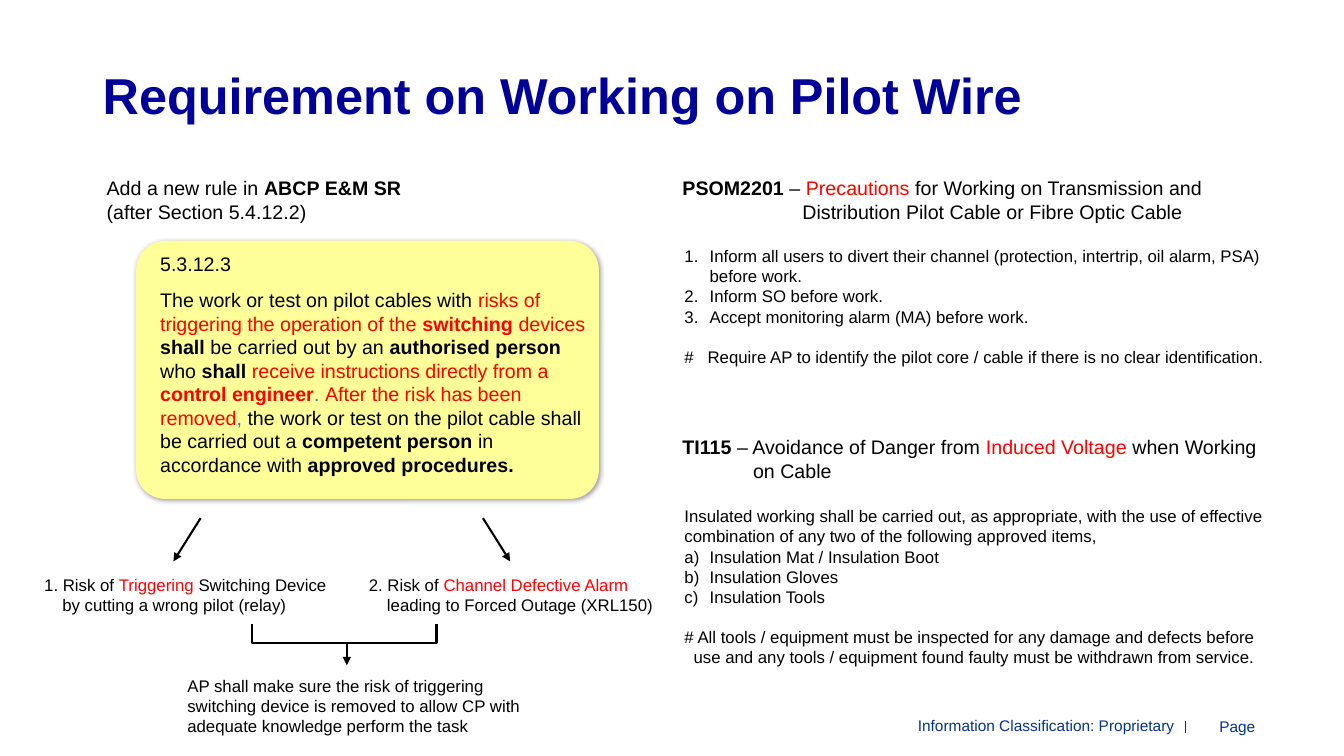
import pptx
import pptx.util
import pptx.dml.color
import pptx.enum.shapes
import pptx.enum.text
import pptx.oxml
from pptx.oxml.ns import qn
from pptx.util import Inches, Pt

NAVY, FOOTER_BLUE, BLACK = "000099", "043491", "000000"
STYLES = {"": (BLACK, False), "b": (BLACK, True), "red": ("FF0000", False),
          "red b": ("FF0000", True), "blue": ("4472C4", False),
          "title": (NAVY, True), "footer": (FOOTER_BLUE, False)}
NUMBERS, LETTERS = "arabicPeriod", "alphaLcParenR"

# A paragraph is (runs, options); a run is (text, style); "\n" is a line break.
RULE = [
    ([("5.3.12.3", "")], {"after": 9}),
    ([("The work or test on pilot cables with ", ""),
      ("risks of triggering the operation of the ", "red"), ("switching", "red b"),
      (" devices ", "red"), ("shall", "b"), (" be carried out by an ", ""),
      ("authorised person ", "b"), ("who ", ""), ("shall ", "b"),
      ("receive instructions directly from a ", "red"), ("control engineer", "red b"),
      (". ", "blue"), ("After the risk has been removed", "red"), (", ", "blue"),
      ("the work or test on the pilot cable shall be carried out a ", ""),
      ("competent person ", "b"), ("in accordance with ", ""),
      ("approved procedures.", "b")], {}),
]
RULE_HEADING = [
    ([("Add a new rule in ", ""), ("ABCP E&M SR", "b")], {}),
    ([("(after Section 5.4.12.2)", "")], {}),
]
RISK_TRIGGER = [([("1. Risk of ", ""), ("Triggering", "red"),
                  (" Switching Device\nby cutting a wrong pilot (relay)", "")],
                 {"hang": 0.18})]
RISK_ALARM = [([("2. Risk of ", ""), ("Channel Defective Alarm", "red"),
                ("\nleading to Forced Outage (XRL150)", "")], {"hang": 0.18})]
CONCLUSION = [([("AP shall make sure the risk of triggering switching device is removed "
                 "to allow CP with adequate knowledge perform the task", "")], {})]
PSOM_HEADING = [([("PSOM2201", "b"), (" –", ""), (" Precautions ", "red"),
                  ("for Working on Transmission and\n"
                   "Distribution Pilot Cable or Fibre Optic Cable", "")], {"hang": 1.19})]
PSOM_STEPS = [
    ([("Inform all users to divert their channel (protection, intertrip, oil alarm, PSA) "
       "before work.", "")], {"hang": 0.25, "bullet": NUMBERS}),
    ([("Inform SO before work.", "")], {"hang": 0.25, "bullet": NUMBERS}),
    ([("Accept monitoring alarm (MA) before work.", "")], {"hang": 0.25, "bullet": NUMBERS}),
    ([("#\tRequire AP to identify the pilot core / cable if there is no clear "
       "identification.", "")], {"hang": 0.23, "before": 14.4}),
]
TI_HEADING = [([("TI115", "b"), (" – Avoidance of Danger from ", ""),
                ("Induced Voltage ", "red"), ("when Working\non Cable", "")],
               {"hang": 0.7})]
TI_ITEMS = [
    ([("Insulated working shall be carried out, as appropriate, with the use of effective "
       "combination of any two of the following approved items,", "")], {}),
    ([("Insulation Mat / Insulation Boot", "")], {"hang": 0.25, "bullet": LETTERS}),
    ([("Insulation Gloves", "")], {"hang": 0.25, "bullet": LETTERS}),
    ([("Insulation Tools", "")], {"hang": 0.25, "bullet": LETTERS}),
    ([("# All tools / equipment must be inspected for any damage and defects before\n"
       "use and any tools / equipment found faulty must be withdrawn from service.", "")],
     {"hang": 0.09, "before": 14.4}),
]
TITLE = [([("Requirement on Working on Pilot Wire", "title")], {"spacing": 0.9})]
CLASSIFICATION = [([("Information Classification: Proprietary", "footer")], {"right": True})]
PAGE_LABEL = [([("Page", "footer")], {"right": True})]

# content, left, top, width, height, size, wraps, centred vertically
TEXTS = [
    (CLASSIFICATION, 8.99, 7.06, 2.76, 0.29, 11, False, False),
    (PAGE_LABEL, 11.99, 7.06, 0.56, 0.29, 11, False, True),
    (TITLE, 0.92, 0.4, 11.5, 1.14, 36, True, True),
    (RULE, 1.49, 2.45, 4.46, 2.35, 14, True, False),
    (RULE_HEADING, 0.96, 1.7, 3.96, 0.57, 14, True, False),
    (RISK_TRIGGER, 0.34, 5.65, 3.03, 0.5, 12, True, False),
    (RISK_ALARM, 3.56, 5.65, 3.11, 0.5, 12, True, False),
    (CONCLUSION, 1.76, 6.65, 3.56, 0.71, 12, True, False),
    (PSOM_HEADING, 6.67, 1.7, 6.11, 0.57, 14, True, False),
    (PSOM_STEPS, 6.69, 2.39, 6.11, 1.31, 12, True, False),
    (TI_HEADING, 6.67, 4.27, 6.11, 0.57, 14, True, False),
    (TI_ITEMS, 6.69, 4.97, 6.11, 1.72, 12, True, False),
]
# start, end, colour, width, has an arrowhead
LINES = [
    ((11.76, 7.15), (11.76, 7.27), FOOTER_BLUE, 1, False),
    ((1.99, 5.14), (1.72, 5.57), BLACK, 1.5, True),
    ((4.79, 5.14), (5.06, 5.57), BLACK, 1.5, True),
    ((3.44, 6.38), (3.44, 6.6), BLACK, 1.5, True),
]
BRACKET = [(2.5, 6.19), (2.5, 6.38), (4.33, 6.38), (4.33, 6.19)]


def rgb(value):
    return pptx.dml.color.RGBColor.from_string(value)


def add_child(parent, tag, **attributes):
    child = parent.makeelement(qn(tag), attributes)
    parent.append(child)
    return child


def format_paragraph(para, hang=0, bullet=None, before=0, after=0, spacing=None, right=False):
    """Set spacing and alignment, then the hanging indent and automatic numbering."""
    para.space_before, para.space_after = Pt(before), Pt(after)
    if spacing:
        para.line_spacing = spacing
    if right:
        para.alignment = pptx.enum.text.PP_ALIGN.RIGHT
    properties = para._p.get_or_add_pPr()
    properties.set("marL", str(Inches(hang)))
    properties.set("indent", str(-Inches(hang)))
    if bullet:
        add_child(properties, "a:buFont", typeface="+mj-lt")
        add_child(properties, "a:buAutoNum", type=bullet)


def add_text(page, content, left, top, width, height, size, wraps, centred):
    box = page.shapes.add_textbox(Inches(left), Inches(top), Inches(width), Inches(height))
    frame = box.text_frame
    frame.word_wrap = wraps
    if centred:
        frame.vertical_anchor = pptx.enum.text.MSO_ANCHOR.MIDDLE
    for index, (runs, options) in enumerate(content):
        para = frame.add_paragraph() if index else frame.paragraphs[0]
        format_paragraph(para, **options)
        for text, style in runs:
            for number, part in enumerate(text.split("\n")):
                if number:
                    para.add_line_break()
                if part:
                    span = para.add_run()
                    span.text = part
                    span.font.name, span.font.size = "Arial", Pt(size)
                    colour, span.font.bold = STYLES[style]
                    span.font.color.rgb = rgb(colour)


def add_line(page, start, end, colour, width, arrow):
    line = page.shapes.add_connector(pptx.enum.shapes.MSO_CONNECTOR.STRAIGHT,
                                     *(Inches(value) for value in start + end))
    line.line.color.rgb, line.line.width = rgb(colour), Pt(width)
    if arrow:
        add_child(line.line._get_or_add_ln(), "a:tailEnd", type="triangle")
    add_child(line._element.spPr, "a:effectLst")


def add_rule_panel(page):
    panel = page.shapes.add_shape(pptx.enum.shapes.MSO_SHAPE.ROUNDED_RECTANGLE,
                                  Inches(1.35), Inches(2.39), Inches(4.59), Inches(2.56))
    panel.adjustments[0] = 0.112
    panel.fill.solid()
    panel.fill.fore_color.rgb = rgb("FFFF99")
    panel.line.fill.background()
    panel.shadow.inherit = False
    effects = panel._element.spPr.find(qn("a:effectLst"))
    shadow = add_child(effects, "a:outerShdw", blurRad=str(Pt(4)), dist=str(Pt(1)),
                       dir=str(45 * 60000), algn="tl", rotWithShape="0")
    add_child(add_child(shadow, "a:srgbClr", val=BLACK), "a:alpha", val="40000")


def add_bracket(page):
    points = [(Inches(x), Inches(y)) for x, y in BRACKET]
    builder = page.shapes.build_freeform(*points[0])
    builder.add_line_segments(points[1:], close=False)
    bracket = builder.convert_to_shape()
    bracket.fill.background()
    bracket.line.color.rgb, bracket.line.width = rgb(BLACK), Pt(1.5)
    bracket.shadow.inherit = False


def main():
    deck = pptx.Presentation()
    deck.slide_width, deck.slide_height = Inches(13.33), Inches(7.5)
    page = deck.slides.add_slide(deck.slide_layouts[6])
    add_rule_panel(page)
    add_bracket(page)
    for line in LINES:
        add_line(page, *line)
    for text in TEXTS:
        add_text(page, *text)
    deck.save("out.pptx")


if __name__ == "__main__":
    main()
